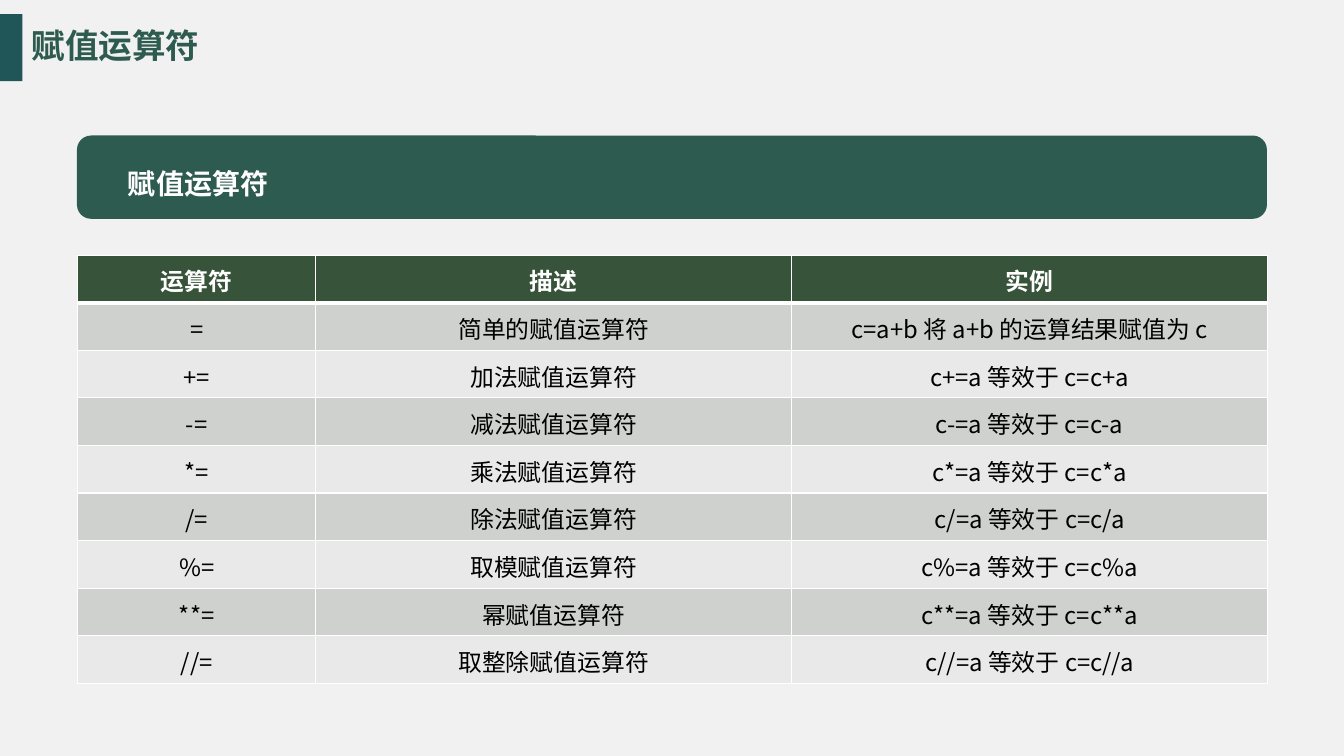
from lxml import etree
from pptx import Presentation
from pptx.dml.color import RGBColor
from pptx.enum.shapes import MSO_SHAPE
from pptx.enum.text import MSO_ANCHOR, PP_ALIGN
from pptx.oxml.ns import qn
from pptx.util import Pt

LEFT, CENTER = PP_ALIGN.LEFT, PP_ALIGN.CENTER
TOP = MSO_ANCHOR.TOP
FONT = "Noto Sans CJK SC"
COLORS = {
    "background": "F1F1F1",
    "accent": "205657",
    "green": "2E5B50",
    "header": "375339",
    "dark_band": "CED1CE",
    "light_band": "E8E9E8",
    "white": "FFFFFF",
    "black": "000000",
}


def write(frame, text, size, color, bold=False, align=LEFT):
    frame.word_wrap = True
    para = frame.paragraphs[0]
    para.alignment = align
    span = para.add_run()
    span.text = text
    span.font.size = Pt(size)
    span.font.bold = bold
    span.font.color.rgb = RGBColor.from_string(COLORS[color])
    span.font.name = FONT
    east_asian = etree.SubElement(span.font._element, qn("a:ea"))
    east_asian.set("typeface", FONT)


def add_borders(cell, widths):
    """Draw white borders; widths are points for left, right, top, bottom."""
    properties = cell._tc.get_or_add_tcPr()
    for index, (side, width) in enumerate(zip("LRTB", widths)):
        line = etree.Element(qn(f"a:ln{side}"), w=str(Pt(width)))
        fill = etree.SubElement(line, qn("a:solidFill"))
        etree.SubElement(fill, qn("a:srgbClr"), val=COLORS["white"])
        properties.insert(index, line)


deck = Presentation()
deck.slide_width, deck.slide_height = Pt(960), Pt(540)
page = deck.slides.add_slide(deck.slide_layouts[5])
page.background.fill.solid()
page.background.fill.fore_color.rgb = RGBColor.from_string(COLORS["background"])

# Title with its accent bar, and the section banner
title = page.shapes.title
title.left, title.top, title.width, title.height = Pt(22.5), Pt(17), Pt(130), Pt(31)
frame = title.text_frame
frame.margin_left = frame.margin_right = frame.margin_bottom = 0
frame.margin_top = Pt(1)
frame.vertical_anchor = TOP
write(frame, "赋值运算符", 24, "green", bold=True)

shapes = {}
for name, kind, color, left, top, width, height in (
    ("bar", MSO_SHAPE.RECTANGLE, "accent", 0, 10, 16, 48),
    ("banner", MSO_SHAPE.ROUNDED_RECTANGLE, "green", 55, 96.8, 850, 59.5),
):
    shape = page.shapes.add_shape(kind, Pt(left), Pt(top), Pt(width), Pt(height))
    shape.shadow.inherit = False
    shape.fill.solid()
    shape.fill.fore_color.rgb = RGBColor.from_string(COLORS[color])
    shape.line.fill.background()
    shapes[name] = shape

shapes["banner"].adjustments[0] = 0.17
frame = shapes["banner"].text_frame
frame.margin_left, frame.margin_top = Pt(33.5), Pt(19)
frame.margin_bottom = 0
frame.vertical_anchor = TOP
write(frame, "赋值运算符", 20, "white", bold=True)

# Operator table
rows = [
    ("运算符", "描述", "实例"),
    ("=", "简单的赋值运算符", "c=a+b 将 a+b 的运算结果赋值为 c"),
]
for operator, operation in (
    ("+", "加法"), ("-", "减法"), ("*", "乘法"), ("/", "除法"),
    ("%", "取模"), ("**", "幂"), ("//", "取整除"),
):
    rows.append((f"{operator}=", f"{operation}赋值运算符",
                 f"c{operator}=a 等效于 c=c{operator}a"))

column_widths = (170, 340, 340)
row_height = 34
table = page.shapes.add_table(
    len(rows), len(column_widths), Pt(55.5), Pt(182.2),
    Pt(sum(column_widths)), Pt(row_height * len(rows))).table
for column, width in zip(table.columns, column_widths):
    column.width = Pt(width)

for row_index, texts in enumerate(rows):
    table.rows[row_index].height = Pt(row_height)
    is_header = row_index == 0
    band = "header" if is_header else "dark_band" if row_index % 2 else "light_band"
    top_width = 3 if row_index == 1 else 1
    bottom_width = 3 if is_header else 1
    for column_index, text in enumerate(texts):
        cell = table.cell(row_index, column_index)
        cell.margin_left = cell.margin_right = cell.margin_bottom = 0
        cell.margin_top = Pt(5.8)
        cell.fill.solid()
        cell.fill.fore_color.rgb = RGBColor.from_string(COLORS[band])
        add_borders(cell, (1, 1, top_width, bottom_width))
        write(cell.text_frame, text, 17, "white" if is_header else "black",
              bold=is_header, align=CENTER)

deck.save("out.pptx")
